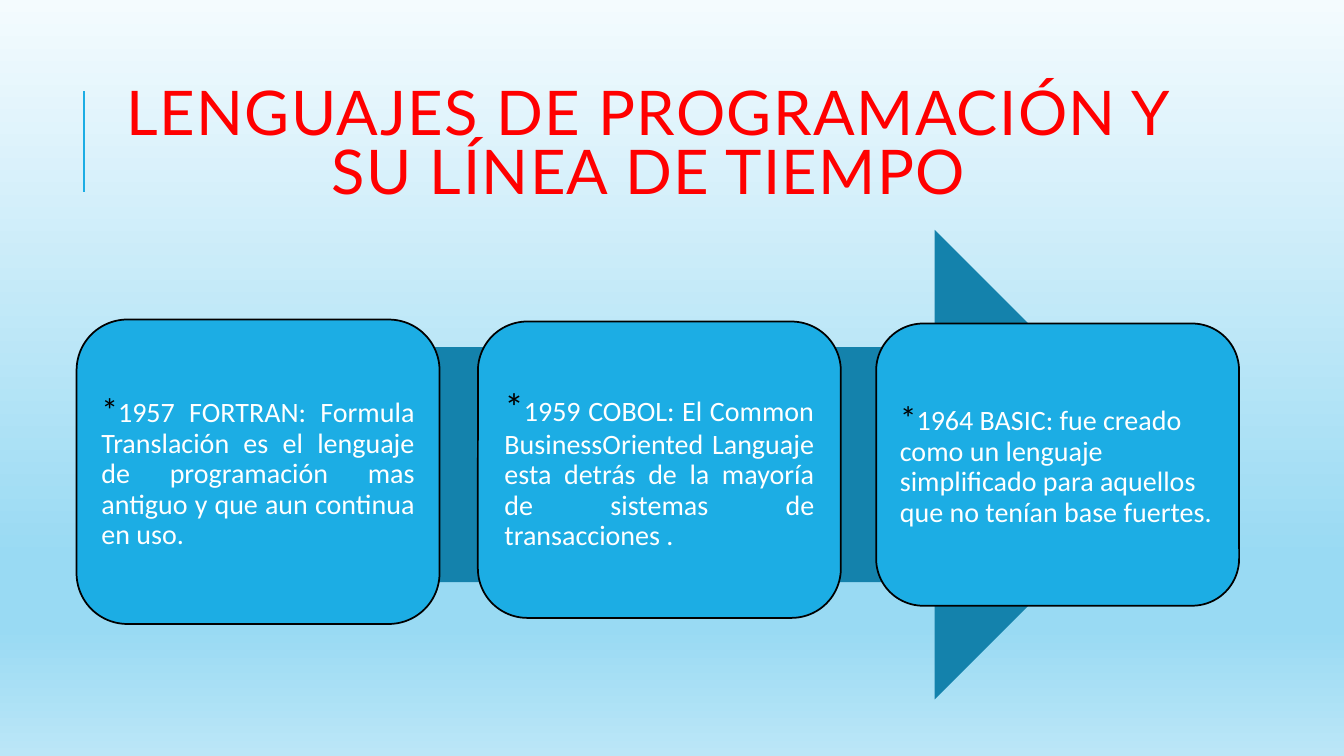
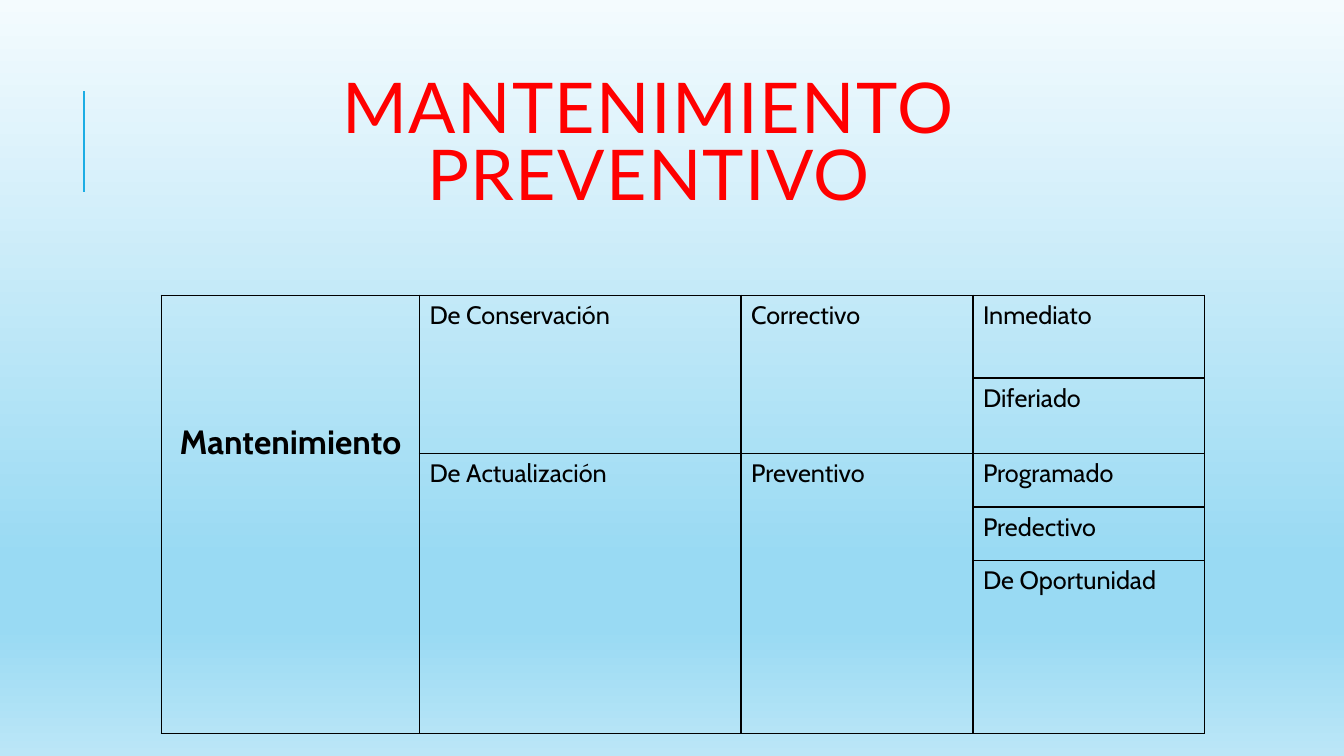
"""Two slides: a timeline of programming languages and a table of maintenance types."""
from lxml.etree import SubElement
from pptx import Presentation
from pptx.dml.color import RGBColor
from pptx.enum.shapes import MSO_CONNECTOR, MSO_SHAPE
from pptx.enum.text import MSO_ANCHOR, PP_ALIGN
from pptx.oxml.ns import qn
from pptx.util import Inches, Pt

RED = RGBColor(0xFF, 0x00, 0x00)
BLUE = RGBColor(0x1C, 0xAD, 0xE4)
DARK_BLUE = RGBColor(0x14, 0x82, 0xAC)
BLACK = RGBColor(0x00, 0x00, 0x00)
WHITE = RGBColor(0xFF, 0xFF, 0xFF)
STOPS = [
    (0, RGBColor(0xF4, 0xFB, 0xFE)),
    (74, RGBColor(0x99, 0xDA, 0xF3)),
    (83, RGBColor(0x99, 0xDA, 0xF3)),
    (100, RGBColor(0xBB, 0xE6, 0xF7)),
]


def add_titled_slide(title, size):
    s = prs.slides.add_slide(prs.slide_layouts[6])
    bar = s.shapes.add_connector(
        MSO_CONNECTOR.STRAIGHT, Inches(0.83), Inches(1.9), Inches(0.83), Inches(0.9))
    bar.line.color.rgb = BLUE
    bar.line.width = Pt(1.5)
    SubElement(bar._element.spPr, qn("a:effectLst"))
    tf = s.shapes.add_textbox(Inches(1.12), Inches(0.64), Inches(10.63), Inches(1.64)).text_frame
    tf.word_wrap = True
    tf.vertical_anchor = MSO_ANCHOR.MIDDLE
    p = tf.paragraphs[0]
    p.alignment = PP_ALIGN.CENTER
    p.line_spacing = 0.8
    p.font.name = "Lato"
    p.font.size = Pt(size)
    p.font.color.rgb = RED
    r = p.add_run()
    r.text = title
    r.font._element.set("spc", "100")
    return s


def set_borders(cell):
    tcPr = cell._tc.get_or_add_tcPr()
    for i, side in enumerate(("lnL", "lnR", "lnT", "lnB")):
        ln = SubElement(tcPr, qn(f"a:{side}"), w=str(Pt(1)))
        fill = SubElement(ln, qn("a:solidFill"))
        SubElement(fill, qn("a:srgbClr"), val=str(BLACK))
        tcPr.insert(i, ln)


prs = Presentation()
prs.slide_width = Inches(13.33)
prs.slide_height = Inches(7.5)

master = prs.slide_master
background = master.background.fill
background.gradient()
background.gradient_angle = 270
stop_list = next(master.element.iter(qn("a:gsLst")))
stop_list.clear()
for position, color in STOPS:
    stop = SubElement(stop_list, qn("a:gs"), pos=str(position * 1000))
    SubElement(stop, qn("a:srgbClr"), val=str(color))

s = add_titled_slide("LENGUAJES DE PROGRAMACIÓN Y SU LÍNEA DE TIEMPO", 44)
arrow = s.shapes.add_shape(
    MSO_SHAPE.RIGHT_ARROW, Inches(1.45), Inches(2.28), Inches(10.15), Inches(4.66))
arrow.shadow.inherit = False
arrow.fill.solid()
arrow.fill.fore_color.rgb = DARK_BLUE
arrow.line.fill.background()

LANGUAGES = [
    (0.76, 3.17, 3.02, 0.1, 24, PP_ALIGN.JUSTIFY,
     "1957 FORTRAN: Formula Translación es el lenguaje de programación mas antiguo "
     "y que aun continua en uso."),
    (4.74, 3.19, 2.94, 0.12, 28, PP_ALIGN.JUSTIFY,
     "1959 COBOL: El Common BusinessOriented Languaje esta detrás de la mayoría "
     "de sistemas de transacciones ."),
    (8.69, 3.21, 2.8, 0.1, 24, PP_ALIGN.LEFT,
     "1964 BASIC: fue creado como un lenguaje simplificado para aquellos que no "
     "tenían base fuertes."),
]
for left, top, height, inset, star_size, alignment, text in LANGUAGES:
    sp = s.shapes.add_shape(
        MSO_SHAPE.ROUNDED_RECTANGLE, Inches(left), Inches(top), Inches(3.6), Inches(height))
    sp.shadow.inherit = False
    sp.fill.solid()
    sp.fill.fore_color.rgb = BLUE
    sp.line.color.rgb = BLACK
    sp.line.width = Pt(1.25)
    tf = sp.text_frame
    tf.word_wrap = True
    tf.vertical_anchor = MSO_ANCHOR.MIDDLE
    tf.margin_left = tf.margin_right = tf.margin_top = tf.margin_bottom = Inches(inset)
    p = tf.paragraphs[0]
    p.alignment = alignment
    p.line_spacing = 0.9
    p.space_after = Pt(7)
    p.font.name = "Calibri"
    for part, size, color in (("*", star_size, BLACK), (text, 20, WHITE)):
        r = p.add_run()
        r.text = part
        r.font.size = Pt(size)
        r.font.color.rgb = color

s = add_titled_slide("MANTENIMIENTO PREVENTIVO", 50)
COLUMNS = [2.56, 3.19, 2.3, 2.3]
ROWS = [0.82, 0.75, 0.53, 0.53, 1.72]
CELLS = [
    ["Mantenimiento", "De Conservación", "Correctivo", "Inmediato"],
    ["", "", "", "Diferiado"],
    ["", "De Actualización", "Preventivo", "Programado"],
    ["", "", "", "Predectivo"],
    ["", "", "", "De Oportunidad"],
]
table = s.shapes.add_table(
    len(ROWS), len(COLUMNS), Inches(1.6), Inches(2.93),
    Inches(sum(COLUMNS)), Inches(sum(ROWS))).table
table.first_row = table.horz_banding = False
for column, width in zip(table.columns, COLUMNS):
    column.width = Inches(width)
for row, height in zip(table.rows, ROWS):
    row.height = Inches(height)
for i, texts in enumerate(CELLS):
    for j, text in enumerate(texts):
        cell = table.cell(i, j)
        cell.fill.background()
        set_borders(cell)
        p = cell.text_frame.paragraphs[0]
        p.font.name = "Cabin"
        p.font.size = Pt(18)
        p.font.color.rgb = BLACK
        if text:
            p.add_run().text = text
for column, first, last in ((0, 0, 4), (1, 0, 1), (2, 0, 1), (1, 2, 4), (2, 2, 4)):
    table.cell(first, column).merge(table.cell(last, column))

heading = table.cell(0, 0)
heading.margin_top = Inches(1.26)
p = heading.text_frame.paragraphs[0]
p.alignment = PP_ALIGN.CENTER
p.font.size = Pt(24)
p.font.bold = True

prs.save("out.pptx")
